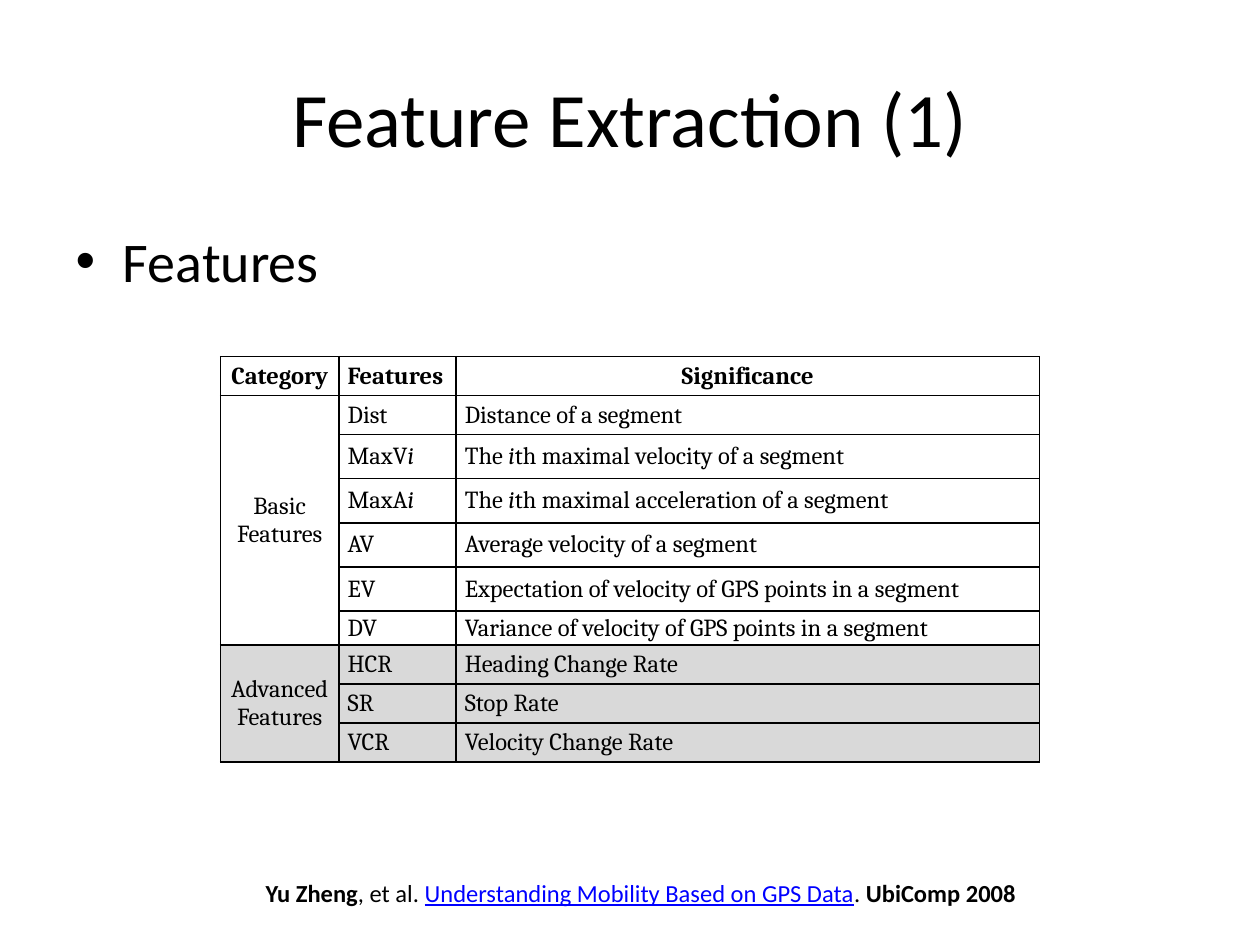
"""Build the slide that lists the basic and advanced mobility features."""
from lxml import etree
from pptx import Presentation
from pptx import util as u
from pptx.dml.color import RGBColor
from pptx.enum import text
from pptx.oxml.ns import qn

COLORS = {"ink": "000000", "link": "0000FF", "advanced": "D9D9D9"}
CENTER, LEFT = text.PP_ALIGN.CENTER, text.PP_ALIGN.LEFT

HEADINGS = ["Category", "Features", "Significance"]
CATEGORIES = {
    "Basic Features": (None, [
        ("Dist", "Distance of a segment"),
        ("MaxV*i*", "The *i*th maximal velocity of a segment"),
        ("MaxA*i*", "The *i*th maximal acceleration of a segment"),
        ("AV", "Average velocity of a segment"),
        ("EV", "Expectation of velocity of GPS points in a segment"),
        ("DV", "Variance of velocity of GPS points in a segment"),
    ]),
    "Advanced Features": ("advanced", [
        ("HCR", "Heading Change Rate"),
        ("SR", "Stop Rate"),
        ("VCR", "Velocity Change Rate"),
    ]),
}
COLUMN_WIDTHS = [0.94, 0.93, 4.63]
ROW_HEIGHTS = [0.31] * 2 + [0.35] * 4 + [0.27] + [0.31] * 3
CITATION = [("Yu Zheng", "b"), (", et al. ", ""),
            ("Understanding Mobility Based on GPS Data", "u"),
            (". ", ""), ("UbiComp 2008", "b")]


class FeatureSlide:
    """Style and current slide, placed on a grid of 40 columns by 30 rows."""

    def __init__(self, deck):
        self.cell_width = deck.slide_width / 40
        self.cell_height = deck.slide_height / 30
        self.slide = deck.slides.add_slide(deck.slide_layouts[1])

    def area(self, column, row, columns, rows):
        return [u.Emu(round(n * unit)) for n, unit in zip(
            (column, row, columns, rows), (self.cell_width, self.cell_height) * 2)]

    def set_text(self, paragraph, runs, size, face="Calibri", align=LEFT, bold=None):
        paragraph.alignment = align
        font = paragraph.font
        font.size, font.name, font.bold = u.Pt(size), face, bold
        font.color.rgb = RGBColor.from_string(COLORS["ink"])
        for words, marks in runs:
            run = paragraph.add_run()
            run.text = words
            if "b" in marks:
                run.font.bold = True
            if "i" in marks:
                run.font.italic = True
            if "u" in marks:
                run.font.underline = True
                run.font.color.rgb = RGBColor.from_string(COLORS["link"])

    def placeholder(self, index, grid, words, size, align, anchor):
        holder = self.slide.placeholders[index]
        holder.left, holder.top, holder.width, holder.height = self.area(*grid)
        holder.text_frame.vertical_anchor = anchor
        paragraph = holder.text_frame.paragraphs[0]
        paragraph.space_before = u.Pt(0)
        self.set_text(paragraph, [(words, "")], size, align=align)

    def caption(self, grid, runs):
        frame = self.slide.shapes.add_textbox(*self.area(*grid)).text_frame
        frame.word_wrap = True
        self.set_text(frame.paragraphs[0], runs, 14, align=CENTER)

    def border(self, cell):
        properties = cell._tc.get_or_add_tcPr()
        for side in ("a:lnL", "a:lnR", "a:lnT", "a:lnB"):
            line = etree.SubElement(properties, qn(side), w=str(u.Pt(1)))
            paint = etree.SubElement(line, qn("a:solidFill"))
            etree.SubElement(paint, qn("a:srgbClr"), val=COLORS["ink"])

    def fill_cell(self, cell, words, fill=None, align=LEFT, bold=False):
        self.border(cell)
        if fill:
            cell.fill.solid()
            cell.fill.fore_color.rgb = RGBColor.from_string(COLORS[fill])
        else:
            cell.fill.background()
        cell.margin_left = cell.margin_right = u.Inches(0.07)
        cell.margin_top = cell.margin_bottom = 0
        cell.vertical_anchor = text.MSO_ANCHOR.MIDDLE
        runs = [(part, "i" if n % 2 else "")
                for n, part in enumerate(words.split("*")) if part]
        self.set_text(cell.text_frame.paragraphs[0], runs, 14, "Cambria", align, bold)

    def feature_table(self, grid):
        table = self.slide.shapes.add_table(
            len(ROW_HEIGHTS), len(COLUMN_WIDTHS), *self.area(*grid)).table
        table.first_row = table.horz_banding = False
        for column, width in zip(table.columns, COLUMN_WIDTHS):
            column.width = u.Inches(width)
        for row, height in zip(table.rows, ROW_HEIGHTS):
            row.height = u.Inches(height)
        for n, heading in enumerate(HEADINGS):
            align = LEFT if heading == "Features" else CENTER
            self.fill_cell(table.cell(0, n), heading, align=align, bold=True)
        top = 1
        for category, (fill, features) in CATEGORIES.items():
            for n, (feature, meaning) in enumerate(features):
                label = "" if n else category
                self.fill_cell(table.cell(top + n, 0), label, fill, CENTER)
                self.fill_cell(table.cell(top + n, 1), feature, fill)
                self.fill_cell(table.cell(top + n, 2), meaning, fill)
            last = top + len(features) - 1
            table.cell(top, 0).merge(table.cell(last, 0))
            top = last + 1


def main():
    deck = Presentation()
    deck.slide_width, deck.slide_height = u.Inches(10), u.Inches(7.5)
    page = FeatureSlide(deck)
    page.placeholder(0, (2, 1.2, 36, 5), "Feature Extraction (1)", 44,
                     CENTER, text.MSO_ANCHOR.MIDDLE)
    page.placeholder(1, (2, 7, 36, 19.8), "Features", 32,
                     LEFT, text.MSO_ANCHOR.TOP)
    page.feature_table((7, 11.32, 26, 12.88))
    page.caption((6, 27.68, 28.68, 1.36), CITATION)
    deck.save("out.pptx")


if __name__ == "__main__":
    main()
